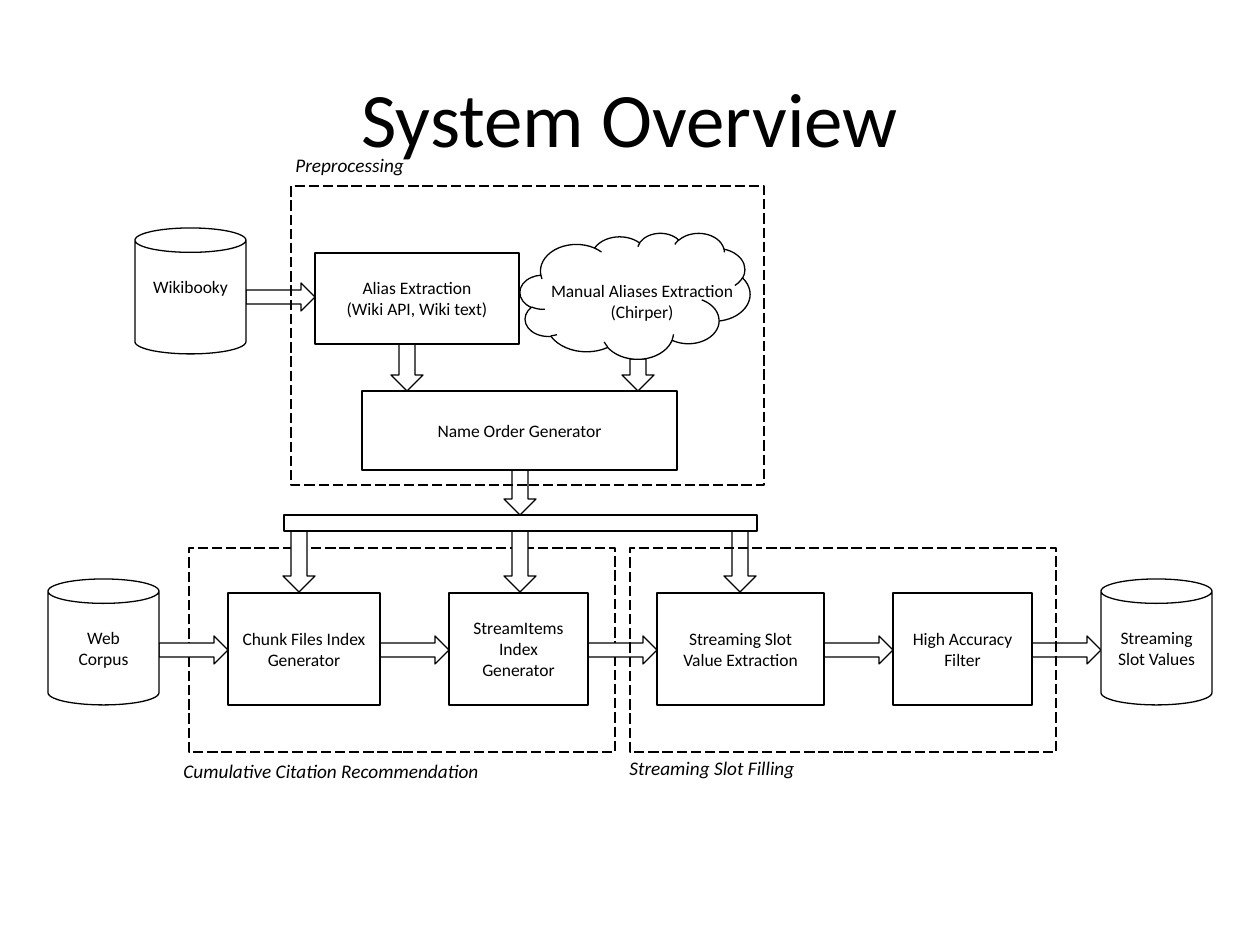
from pptx import Presentation
from pptx.dml.color import RGBColor
from pptx.enum.dml import MSO_LINE
from pptx.enum.shapes import MSO_SHAPE as Preset
from pptx.enum.text import MSO_ANCHOR as Anchor, PP_ALIGN as Align
from pptx.util import Emu, Pt

PX = 914400 / 126
BLACK = RGBColor(0, 0, 0)
WHITE = RGBColor(255, 255, 255)
FONT = "Calibri"

GAP = 69  # between the stages of the pipeline
STORE_WIDTH, STORE_HEIGHT = 111, 126
STAGE_TOP, STAGE_HEIGHT = 593, 112
ARROW_HEIGHT, DOWN_WIDTH = 28, 32
STAGES = [
    ("Chunk Files Index Generator", 152),
    ("StreamItems Index Generator", 139),
    ("Streaming Slot Value Extraction", 167),
    ("High Accuracy Filter", 139),
]


def px(value):
    return Emu(round(value * PX))


def write_text(shape, text, size=10, italic=False, align=Align.CENTER,
               anchor=Anchor.MIDDLE):
    frame = shape.text_frame
    frame.word_wrap = True
    frame.vertical_anchor = anchor
    frame.margin_left = frame.margin_right = Pt(7.2)
    frame.margin_top = frame.margin_bottom = Pt(3.6)
    frame.text = text
    for paragraph in frame.paragraphs:
        paragraph.alignment = align
        paragraph.font.name = FONT
        paragraph.font.size = Pt(size)
        paragraph.font.italic = italic
        paragraph.font.color.rgb = BLACK


def add_label(slide, text, left, top, width, height, **text_format):
    box = slide.shapes.add_textbox(px(left), px(top), px(width), px(height))
    write_text(box, text, **text_format)


def add_outlined(slide, preset, left, top, width, height, text=None):
    shape = slide.shapes.add_shape(preset, px(left), px(top), px(width), px(height))
    shape.shadow.inherit = False
    shape.fill.solid()
    shape.fill.fore_color.rgb = WHITE
    shape.line.color.rgb = BLACK
    shape.line.width = Pt(0.75)
    if text:
        write_text(shape, text)
    return shape


def add_frame(slide, left, top, width, height):
    frame = add_outlined(slide, Preset.RECTANGLE, left, top, width, height)
    frame.fill.background()
    frame.line.dash_style = MSO_LINE.LONG_DASH


def add_right_arrow(slide, left, middle):
    add_outlined(slide, Preset.RIGHT_ARROW, left, middle - ARROW_HEIGHT / 2,
                 GAP, ARROW_HEIGHT)


def add_down_arrow(slide, center, top, bottom):
    add_outlined(slide, Preset.DOWN_ARROW, center - DOWN_WIDTH / 2, top,
                 DOWN_WIDTH, bottom - top)


def add_store(slide, text, left, top, label_width=STORE_WIDTH):
    can = add_outlined(slide, Preset.CAN, left, top, STORE_WIDTH, STORE_HEIGHT)
    can.adjustments[0] = 0.22
    add_label(slide, text, left + (STORE_WIDTH - label_width) / 2, top + 42,
              label_width, 71, anchor=Anchor.TOP)


def add_arrows(slide):
    # Along the pipeline, one after each stage but the last store
    right = 48 + STORE_WIDTH
    for width in [0] + [width + GAP for _, width in STAGES]:
        right += width
        add_right_arrow(slide, right, 650)
    add_right_arrow(slide, 246, 297)

    # Into the name generator, out of it, and from the bar to the stages
    add_down_arrow(slide, 407, 344, 391)
    add_down_arrow(slide, 638, 359, 391)
    add_down_arrow(slide, 520, 470, 515)
    for center in (299, 520, 740):
        add_down_arrow(slide, center, 531, 592)


def add_preprocessing(slide):
    add_store(slide, "Wikibooky", 135, 228)
    add_outlined(slide, Preset.RECTANGLE, 315, 253, 204, 91,
                 "Alias Extraction\n(Wiki API, Wiki text)")
    add_outlined(slide, Preset.CLOUD, 520, 233, 230, 126)
    add_label(slide, "Manual Aliases Extraction (Chirper)", 532, 274, 220, 78,
              anchor=Anchor.TOP)
    add_outlined(slide, Preset.RECTANGLE, 362, 391, 315, 79,
                 "Name Order Generator")
    add_outlined(slide, Preset.RECTANGLE, 284, 515, 473, 16)


def add_pipeline(slide):
    left = 48
    store_top = STAGE_TOP + STAGE_HEIGHT - STORE_HEIGHT
    add_store(slide, "Web Corpus", left, store_top, label_width=83)
    left += STORE_WIDTH + GAP
    for text, width in STAGES:
        add_outlined(slide, Preset.RECTANGLE, left, STAGE_TOP, width,
                     STAGE_HEIGHT, text)
        left += width + GAP
    add_store(slide, "Streaming Slot Values", left, store_top)


def main():
    presentation = Presentation()
    presentation.slide_width, presentation.slide_height = px(1260), px(945)
    slide = presentation.slides.add_slide(presentation.slide_layouts[6])

    add_label(slide, "System Overview", 63, 38, 1134, 157, size=44)

    # The citation frame passes behind the arrows, the others in front
    add_frame(slide, 189, 548, 426, 204)
    add_arrows(slide)
    add_frame(slide, 291, 186, 473, 299)
    add_frame(slide, 630, 548, 426, 204)

    add_preprocessing(slide)
    add_pipeline(slide)

    # Captions of the frames
    for text, left, top, width in [
        ("Preprocessing", 283, 147, 426),
        ("Cumulative Citation Recommendation", 171, 753, 394),
        ("Streaming Slot Filling", 617, 750, 426),
    ]:
        add_label(slide, text, left, top, width, 40, size=11, italic=True,
                  align=Align.LEFT, anchor=Anchor.TOP)

    presentation.save("out.pptx")


if __name__ == "__main__":
    main()
